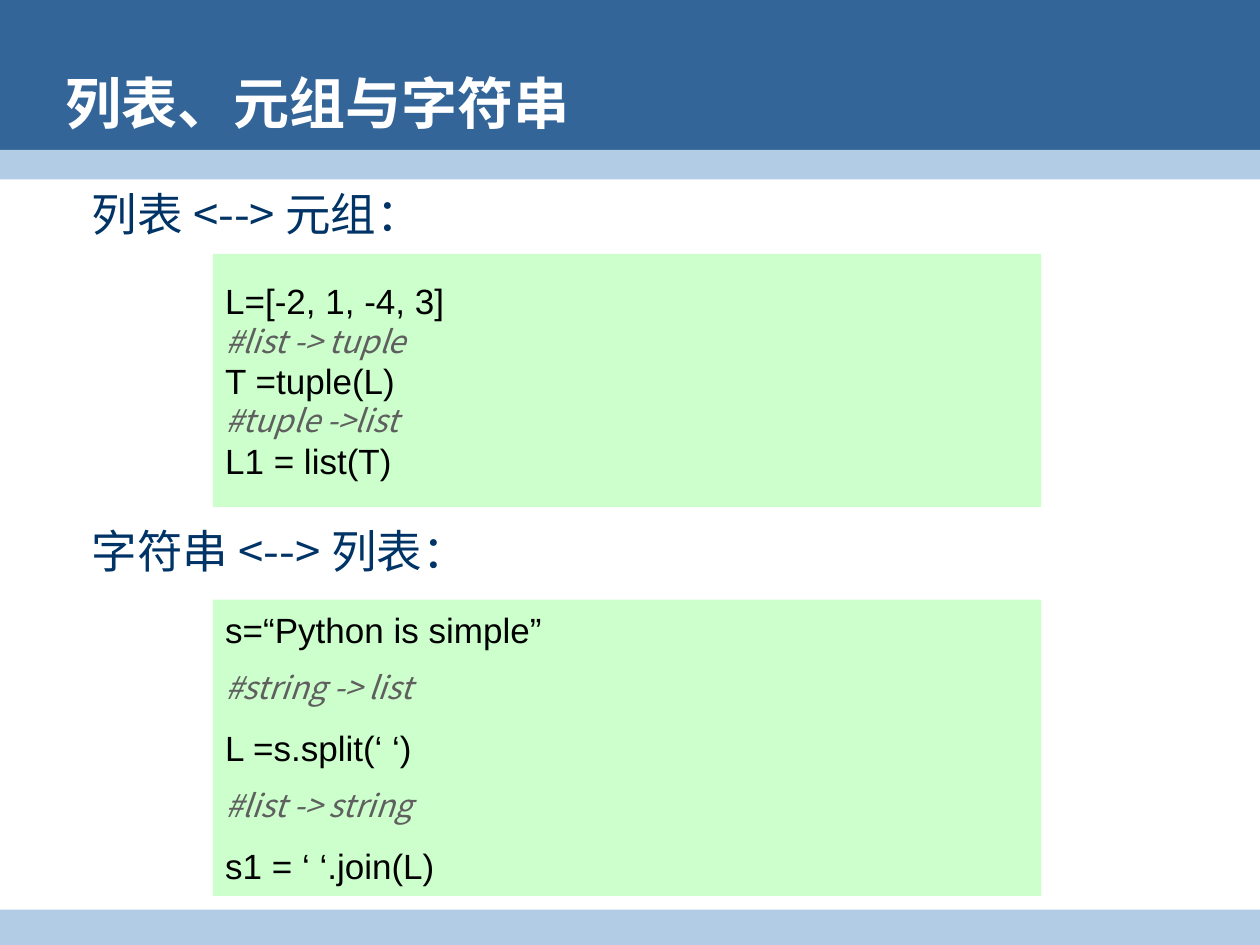
import pptx
import pptx.dml.color
import pptx.enum.shapes
import pptx.enum.text
import pptx.oxml
import pptx.oxml.ns
import pptx.util

Cm = pptx.util.Cm
Pt = pptx.util.Pt
RGBColor = pptx.dml.color.RGBColor
ANCHOR = pptx.enum.text.MSO_ANCHOR

DARK_BLUE = RGBColor(0x33, 0x65, 0x99)
LIGHT_BLUE = RGBColor(0xB3, 0xCC, 0xE6)
NAVY = RGBColor(0x00, 0x33, 0x66)
GREEN = RGBColor(0xCC, 0xFF, 0xCC)
GRAY = RGBColor(0x5F, 0x5F, 0x5F)
BLACK = RGBColor(0, 0, 0)
WHITE = RGBColor(0xFF, 0xFF, 0xFF)

LATIN = "Arial"
CJK = "Noto Sans CJK SC"


def format_paragraph(p, size, color, name=CJK, bold=False, italic=False):
    p.alignment = pptx.enum.text.PP_ALIGN.LEFT
    p.font.size = Pt(size)
    p.font.bold = bold
    p.font.italic = italic
    p.font.color.rgb = color
    p.font.name = name
    # East Asian characters take their own typeface
    ea = pptx.oxml.parse_xml(f'<a:ea {pptx.oxml.ns.nsdecls("a")} typeface="{CJK}"/>')
    p.font._element.append(ea)


def add_block(slide, left, top, width, height, color):
    sp = slide.shapes.add_shape(
        pptx.enum.shapes.MSO_SHAPE.RECTANGLE, Cm(left), Cm(top), Cm(width), Cm(height))
    sp.shadow.inherit = False
    sp.fill.solid()
    sp.fill.fore_color.rgb = color
    sp.line.fill.background()
    return sp


def set_title(slide, text):
    title = slide.shapes.title
    title.left, title.top, title.width, title.height = Cm(1.07), Cm(1.32), Cm(23), Cm(1.47)
    tf = title.text_frame
    tf.text = text
    tf.auto_size = pptx.enum.text.MSO_AUTO_SIZE.NONE
    tf.vertical_anchor = ANCHOR.MIDDLE
    format_paragraph(tf.paragraphs[0], 32, WHITE, LATIN, bold=True)
    # Bring the title in front of the header band
    slide.shapes._spTree.append(title._element)


def add_heading(slide, top, text):
    tf = slide.shapes.add_textbox(Cm(1.6), Cm(top), Cm(21.4), Cm(1.5)).text_frame
    tf.word_wrap = True
    tf.text = text
    format_paragraph(tf.paragraphs[0], 26, NAVY)


def add_code(slide, top, height, lines, gap=0, comment_spacing=1.0):
    tf = add_block(slide, 4.29, top, 16.7, height, GREEN).text_frame
    tf.word_wrap = True
    tf.vertical_anchor = ANCHOR.MIDDLE
    tf.text = "\n".join(lines)
    for p in tf.paragraphs:
        p.space_after = Pt(gap)
        if p.text.startswith("#"):
            p.line_spacing = comment_spacing
            format_paragraph(p, 18, GRAY, italic=True)
        else:
            format_paragraph(p, 20, BLACK, LATIN)


def main():
    prs = pptx.Presentation()
    prs.slide_width, prs.slide_height = Cm(25.4), Cm(19.05)
    slide = prs.slides.add_slide(prs.slide_layouts[5])

    # Header and footer bands
    add_block(slide, 0, 0, 25.4, 3.33, DARK_BLUE)
    add_block(slide, 0, 3.02, 25.4, 0.6, LIGHT_BLUE)
    add_block(slide, 0, 18.34, 25.4, 0.71, LIGHT_BLUE)
    set_title(slide, "列表、元组与字符串")

    # Lists and tuples
    add_heading(slide, 3.63, "列表 <--> 元组：")
    add_code(slide, 5.12, 5.1, [
        "L=[-2, 1, -4, 3]",
        "#list -> tuple",
        "T =tuple(L)",
        "#tuple ->list",
        "L1 = list(T)",
    ])

    # Strings and lists
    add_heading(slide, 10.41, "字符串 <--> 列表：")
    add_code(slide, 12.09, 5.97, [
        "s=“Python is simple”",
        "#string -> list",
        "L =s.split(‘ ‘)",
        "#list -> string",
        "s1 = ‘ ‘.join(L)",
    ], gap=12, comment_spacing=0.9)

    prs.save("out.pptx")


if __name__ == "__main__":
    main()
